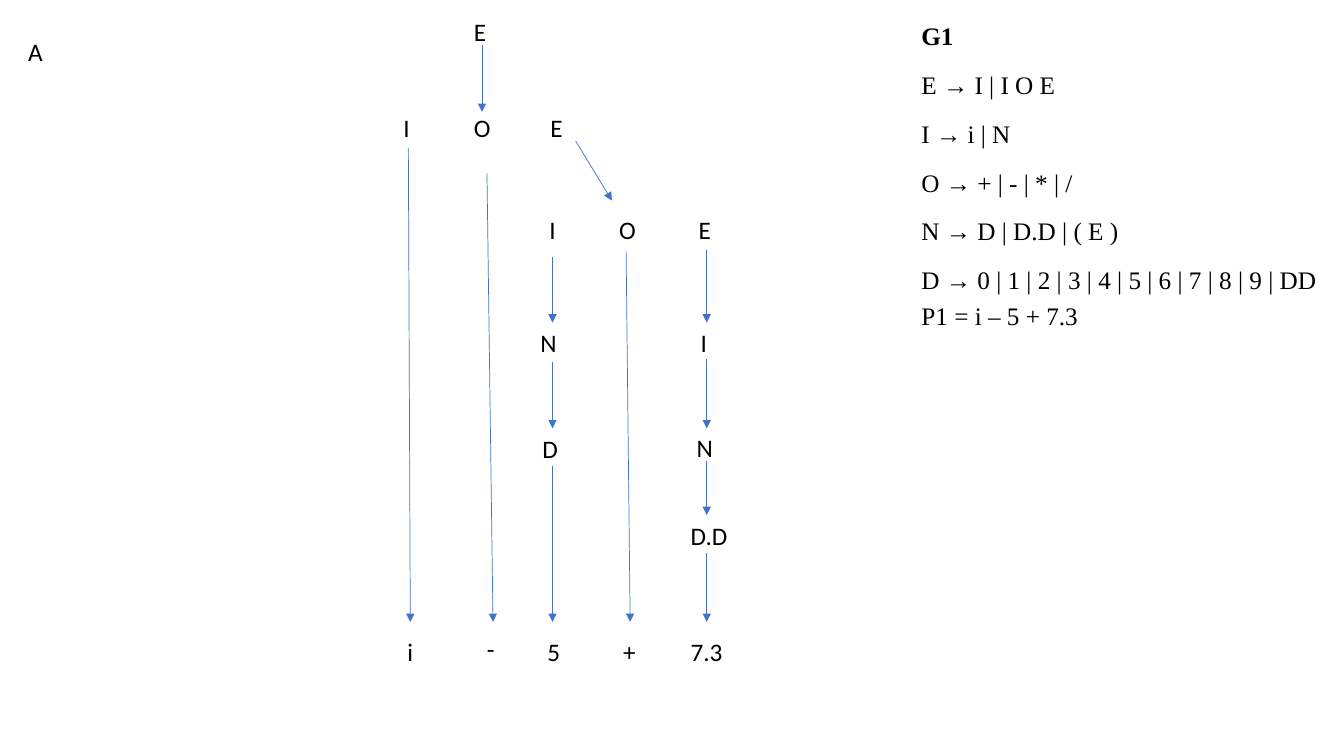
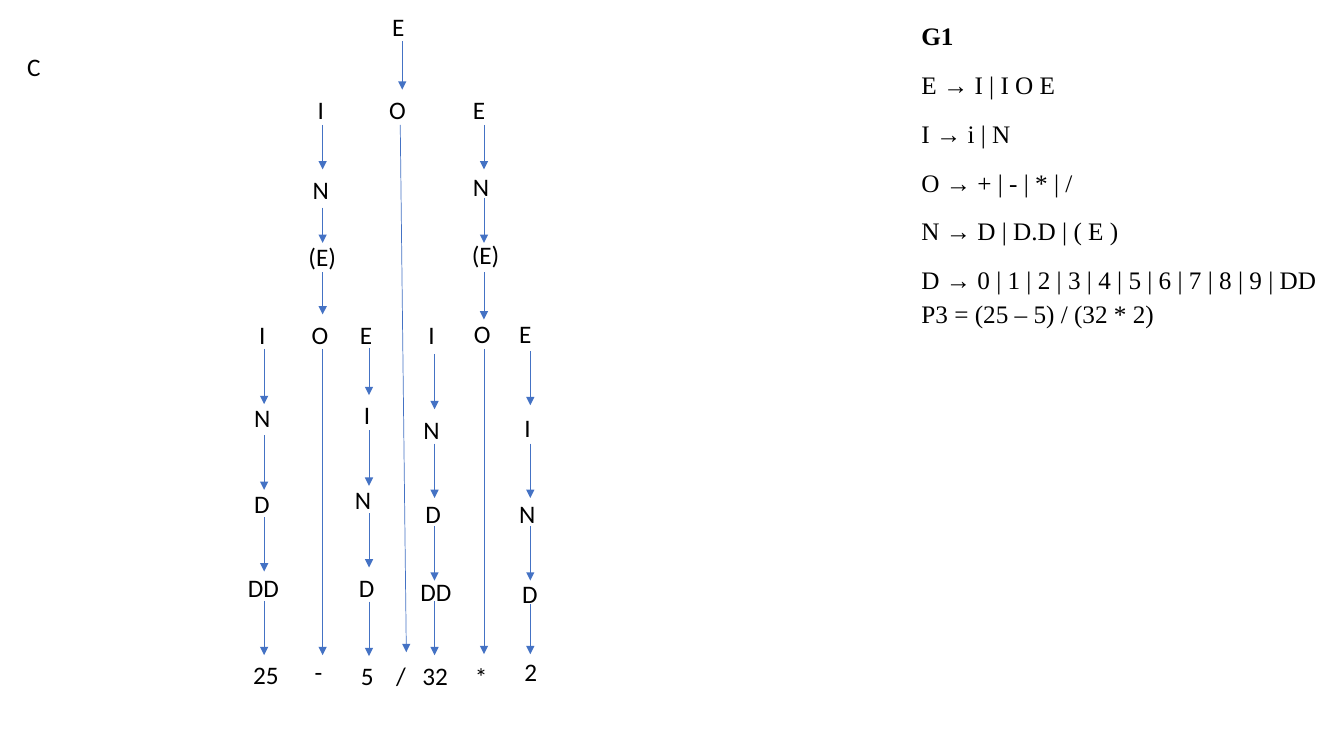
"""Two parse trees for grammar G1, each beside the grammar and its expression."""
import pptx
import pptx.dml.color
import pptx.enum.shapes
import pptx.oxml.ns
import pptx.util
from lxml import etree

COLOURS = {"ink": "000000", "arrow": "4472C4"}
NODE_FONT, GRAMMAR_FONT = "Calibri", "Times New Roman"
NODE_WIDTH, LINE_HEIGHT = 0.4, 0.4
GRAMMAR_LEFT, GRAMMAR_WIDTH = 9.04, 4.29
GRAMMAR = [
    "G1",
    "E → I | I O E",
    "I → i | N",
    "O → + | - | * | /",
    "N → D | D.D | ( E )",
    "D → 0 | 1 | 2 | 3 | 4 | 5 | 6 | 7 | 8 | 9 | DD",
]

# Branch: arrow x, lean, nodes as (symbol, left, top[, arrow start, arrow end]).
TREES = [
    {
        "name": ("A", 0.28, 0.31),
        "expression": ("P1 = i – 5 + 7.3", 2.93),
        "branches": [
            (4.78, 0, [("E", 4.7, 0.11, 0.45, 1.11)]),
            (4.05, 0.02, [("I", 4, 1.07, 1.47, 6.17), ("i", 4.04, 6.26)]),
            (4.83, 0.06, [("O", 4.7, 1.07, 1.72, 6.17), ("-", 4.83, 6.23)]),
            (5.71, 0.36, [("E", 5.46, 1.07, 1.4, 1.99)]),
            (5.48, 0, [("I", 5.45, 2.08, 2.55, 3.2), ("N", 5.36, 3.2, 3.59, 4.25),
                       ("D", 5.38, 4.25, 4.62, 6.17), ("5", 5.43, 6.26)]),
            (6.21, 0.04, [("O", 6.14, 2.08, 2.49, 6.17), ("+", 6.18, 6.26)]),
            (7.01, 0, [("E", 6.93, 2.08, 2.48, 3.2), ("I", 6.95, 3.2, 3.56, 4.25),
                       ("N", 6.91, 4.24, 4.57, 5.11), ("D.D", 6.85, 5.11, 5.49, 6.17),
                       ("7.3", 6.85, 6.26)]),
        ],
    },
    {
        "name": ("C", 0.27, 0.46),
        "expression": ("P3 = (25 – 5) / (32 * 2)", 2.91),
        "branches": [
            (3.99, 0, [("E", 3.89, 0.06, 0.41, 0.89)]),
            (3.97, 0.06, [("O", 3.86, 0.89, 1.24, 6.47), ("/", 3.93, 6.5)]),
            (3.2, 0, [("I", 3.15, 0.89, 1.24, 1.68), ("N", 3.1, 1.68, 2.06, 2.41),
                      ("(E)", 3.06, 2.34, 2.7, 3.12), ("O", 3.09, 3.12, 3.46, 6.5),
                      ("-", 3.12, 6.46)]),
            (2.62, 0, [("I", 2.57, 3.12, 3.46, 4.01), ("N", 2.52, 3.94, 4.32, 4.86),
                       ("D", 2.52, 4.8, 5.13, 5.67), ("DD", 2.46, 5.63, 5.96, 6.5),
                       ("25", 2.51, 6.49)]),
            (3.66, 0, [("E", 3.57, 3.12, 3.45, 3.92), ("I", 3.61, 3.91, 4.27, 4.82),
                       ("N", 3.52, 4.76, 5.09, 5.63), ("D", 3.56, 5.63, 5.97, 6.51),
                       ("5", 3.58, 6.5)]),
            (4.8, 0, [("E", 4.69, 0.89, 1.24, 1.68), ("N", 4.69, 1.65, 1.96, 2.41),
                      ("(E)", 4.68, 2.33, 2.7, 3.17), ("O", 4.7, 3.11, 3.46, 6.49),
                      ("*", 4.71, 6.51)]),
            (4.31, 0, [("I", 4.25, 3.12, 3.51, 4.06), ("N", 4.2, 4.06, 4.4, 4.94),
                       ("D", 4.22, 4.89, 5.22, 5.76), ("DD", 4.17, 5.67, 5.96, 6.5),
                       ("32", 4.19, 6.5)]),
            (5.26, 0, [("E", 5.15, 3.11, 3.48, 4.02), ("I", 5.2, 4.04, 4.4, 4.94),
                       ("N", 5.15, 4.89, 5.22, 5.76), ("D", 5.18, 5.69, 5.99, 6.49),
                       ("2", 5.2, 6.46)]),
        ],
    },
]


def write(slide, lines, left, top, width=NODE_WIDTH, height=LINE_HEIGHT, font=NODE_FONT,
          inset=0, heading=False, line_spacing=None, space_after=None):
    box = slide.shapes.add_textbox(*map(pptx.util.Inches, (left, top, width, height)))
    frame = box.text_frame
    frame.word_wrap = True
    frame.margin_left = frame.margin_right = pptx.util.Inches(inset)
    frame.text = "\n".join(lines)
    for row, paragraph in enumerate(frame.paragraphs):
        paragraph.line_spacing = line_spacing
        paragraph.space_after = space_after
        style = paragraph.runs[0].font
        style.name, style.size = font, pptx.util.Pt(18)
        style.bold = heading and row == 0
        style.color.rgb = pptx.dml.color.RGBColor.from_string(COLOURS["ink"])


def draw_arrow(slide, *ends):
    arrow = slide.shapes.add_connector(
        pptx.enum.shapes.MSO_CONNECTOR.STRAIGHT, *map(pptx.util.Inches, ends))
    arrow.line.width = pptx.util.Pt(0.5)
    arrow.line.color.rgb = pptx.dml.color.RGBColor.from_string(COLOURS["arrow"])
    qn = pptx.oxml.ns.qn
    etree.SubElement(arrow.line._get_or_add_ln(), qn("a:tailEnd"), type="triangle")
    etree.SubElement(arrow._element.spPr, qn("a:effectLst"))


deck = pptx.Presentation()
deck.slide_width, deck.slide_height = pptx.util.Inches(13.33), pptx.util.Inches(7.5)
blank_layout = deck.slide_layouts[6]

for tree in TREES:
    slide = deck.slides.add_slide(blank_layout)
    write(slide, GRAMMAR, GRAMMAR_LEFT, 0.11, GRAMMAR_WIDTH, 2.86, font=GRAMMAR_FONT, inset=0.1,
          heading=True, line_spacing=1.15, space_after=pptx.util.Pt(10))
    expression, expression_top = tree["expression"]
    write(slide, [expression], GRAMMAR_LEFT, expression_top, 2.65, font=GRAMMAR_FONT, inset=0.1)
    name, name_left, name_top = tree["name"]
    write(slide, [name], name_left, name_top)
    for arrow_x, lean, nodes in tree["branches"]:
        for symbol, left, top, *reach in nodes:
            write(slide, [symbol], left, top)
            if reach:
                start, end = reach
                draw_arrow(slide, arrow_x, start, arrow_x + lean, end)

deck.save("out.pptx")
